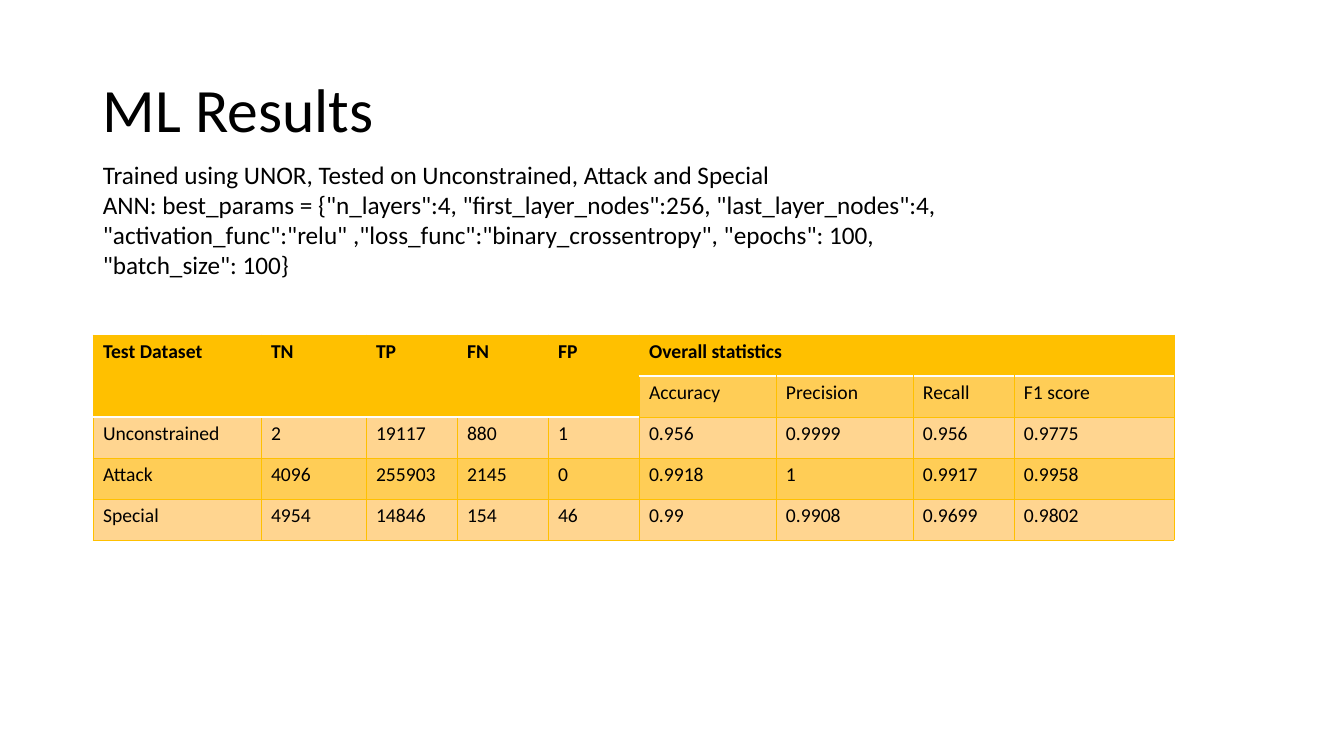
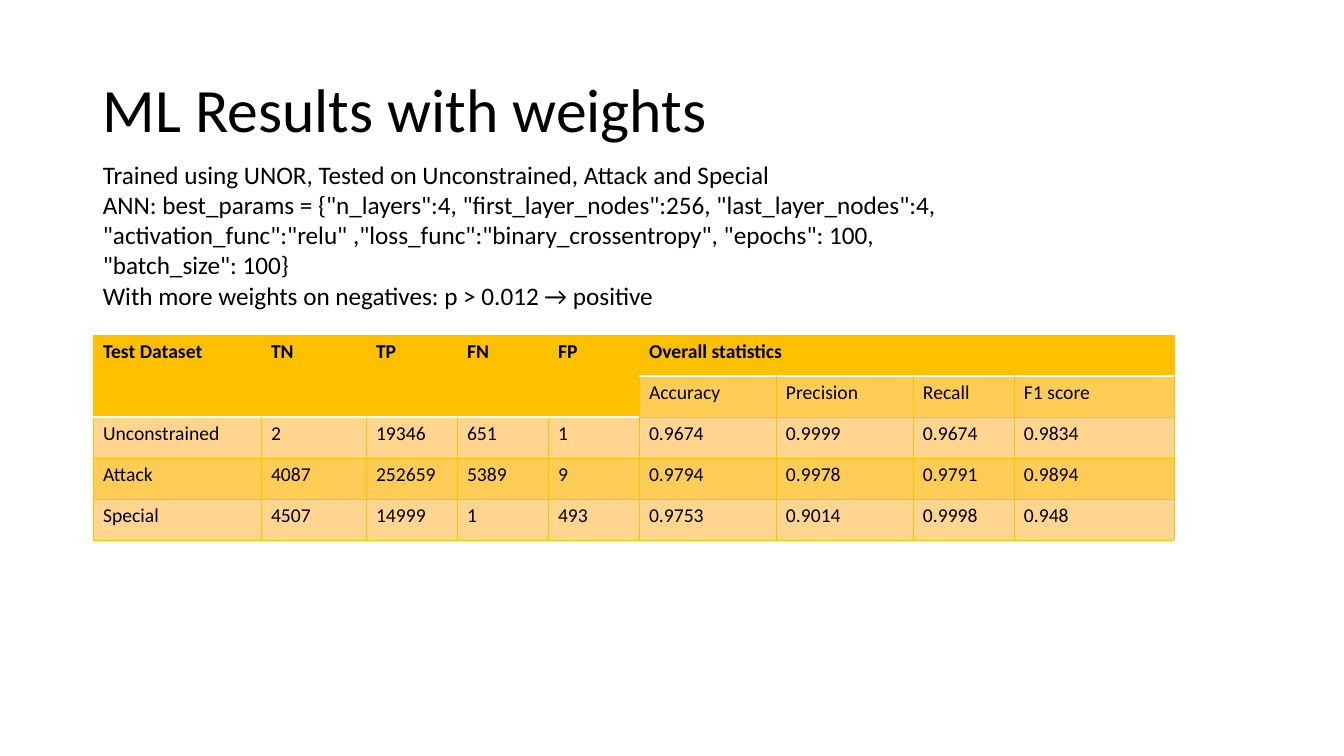
"""Build two slides of machine learning test results."""
import pptx
import pptx.dml.color
import pptx.enum.text
import pptx.oxml.ns
import pptx.util
from lxml import etree

PX = 12192000 / 1344
FONT = "Calibri"
BLACK = pptx.dml.color.RGBColor(0x00, 0x00, 0x00)
WHITE = pptx.dml.color.RGBColor(0xFF, 0xFF, 0xFF)
GOLD = pptx.dml.color.RGBColor(0xFF, 0xC0, 0x00)
DARK_BAND = pptx.dml.color.RGBColor(0xFF, 0xCD, 0x56)
LIGHT_BAND = pptx.dml.color.RGBColor(0xFF, 0xD5, 0x90)

LEFT = 93
TABLE_TOP = 335
ROW_HEIGHT = 41
COLUMN_WIDTHS = [168, 105, 91, 91, 91, 137, 137, 101, 160]
COUNT_COLUMNS = 5
HEADINGS = [
    ["Test Dataset", "TN", "TP", "FN", "FP", "Overall statistics", "", "", ""],
    ["", "", "", "", "", "Accuracy", "Precision", "Recall", "F1 score"],
]
SETUP = [
    "Trained using UNOR, Tested on Unconstrained, Attack and Special",
    'ANN: best_params = {"n_layers":4, "first_layer_nodes":256, "last_layer_nodes":4, '
    '"activation_func":"relu" ,"loss_func":"binary_crossentropy", "epochs": 100, "batch_size": 100}',
]
SLIDES = [
    ("ML Results", SETUP, [
        ["Unconstrained", "2", "19117", "880", "1", "0.956", "0.9999", "0.956", "0.9775"],
        ["Attack", "4096", "255903", "2145", "0", "0.9918", "1", "0.9917", "0.9958"],
        ["Special", "4954", "14846", "154", "46", "0.99", "0.9908", "0.9699", "0.9802"],
    ]),
    ("ML Results with weights", SETUP + ["With more weights on negatives: p > 0.012 → positive"], [
        ["Unconstrained", "2", "19346", "651", "1", "0.9674", "0.9999", "0.9674", "0.9834"],
        ["Attack", "4087", "252659", "5389", "9", "0.9794", "0.9978", "0.9791", "0.9894"],
        ["Special", "4507", "14999", "1", "493", "0.9753", "0.9014", "0.9998", "0.948"],
    ]),
]


def px(length):
    return pptx.util.Emu(round(length * PX))


def write(text_frame, lines, size, bold=False):
    text_frame.text = "\n".join(lines)
    text_frame.word_wrap = True
    for paragraph in text_frame.paragraphs:
        for run in paragraph.runs:
            run.font.name = FONT
            run.font.size = pptx.util.Pt(size)
            run.font.bold = bold
            run.font.color.rgb = BLACK


presentation = pptx.Presentation()
presentation.slide_width = px(1344)
presentation.slide_height = px(756)

for title, description, results in SLIDES:
    slide = presentation.slides.add_slide(presentation.slide_layouts[6])

    title_box = slide.shapes.add_textbox(px(LEFT), px(40), px(1159), px(146))
    write(title_box.text_frame, [title], 44)
    title_box.text_frame.vertical_anchor = pptx.enum.text.MSO_ANCHOR.MIDDLE
    title_box.text_frame.paragraphs[0].line_spacing = 0.9

    description_box = slide.shapes.add_textbox(px(LEFT), px(154), px(886), px(163))
    write(description_box.text_frame, description, 18)

    rows = HEADINGS + results
    table = slide.shapes.add_table(
        len(rows), len(COLUMN_WIDTHS), px(LEFT), px(TABLE_TOP),
        px(sum(COLUMN_WIDTHS)), px(ROW_HEIGHT * len(rows)),
    ).table
    for column, width in zip(table.columns, COLUMN_WIDTHS):
        column.width = px(width)
    for column_index in range(COUNT_COLUMNS):
        table.cell(0, column_index).merge(table.cell(1, column_index))
    table.cell(0, COUNT_COLUMNS).merge(table.cell(0, len(COLUMN_WIDTHS) - 1))

    for row_index, values in enumerate(rows):
        table.rows[row_index].height = px(ROW_HEIGHT)
        for column_index, value in enumerate(values):
            cell = table.cell(row_index, column_index)
            heading_rows = 2 if column_index < COUNT_COLUMNS else 1
            is_heading = row_index < heading_rows
            if value:
                write(cell.text_frame, [value], 14, is_heading)

            white_sides = {heading_rows - 1: "lnB", heading_rows: "lnT"}
            properties = cell._tc.get_or_add_tcPr()
            for side in ("lnL", "lnR", "lnT", "lnB"):
                is_white = white_sides.get(row_index) == side
                line = etree.SubElement(properties, pptx.oxml.ns.qn(f"a:{side}"))
                line.set("w", str(pptx.util.Pt(1 if is_white else 0.5)))
                line_fill = etree.SubElement(line, pptx.oxml.ns.qn("a:solidFill"))
                line_color = etree.SubElement(line_fill, pptx.oxml.ns.qn("a:srgbClr"))
                line_color.set("val", str(WHITE if is_white else GOLD))

            cell.fill.solid()
            band = DARK_BAND if row_index % 2 else LIGHT_BAND
            cell.fill.fore_color.rgb = GOLD if is_heading else band

presentation.save("out.pptx")
